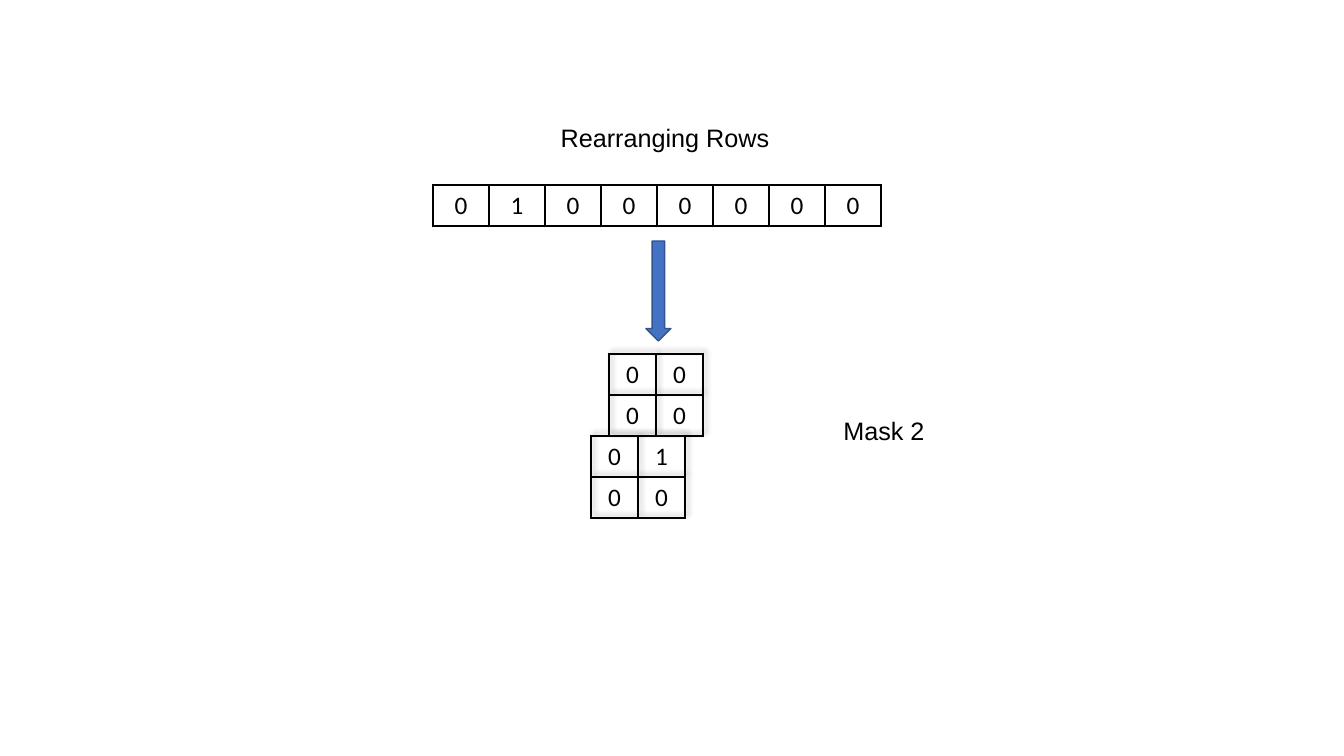
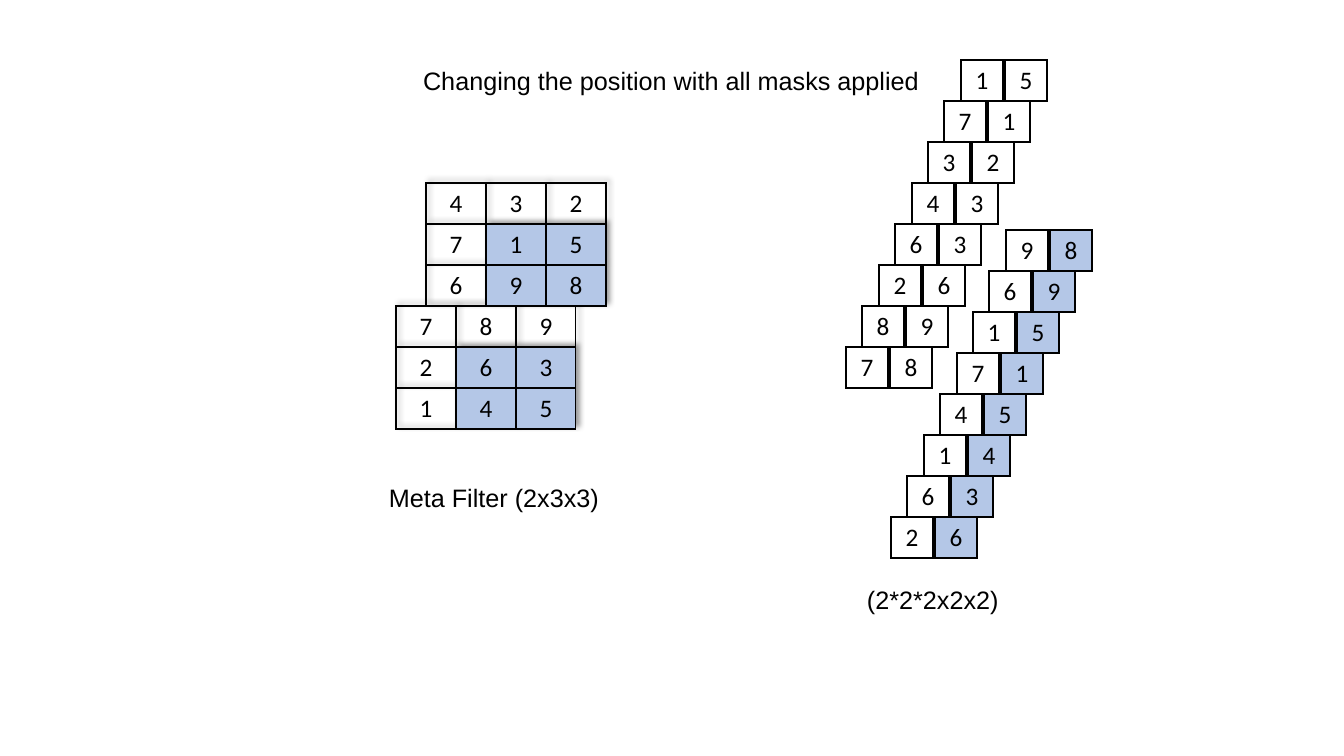
from dataclasses import dataclass

from lxml import etree
from pptx import Presentation, util as u
from pptx.dml.color import RGBColor
from pptx.enum import shapes, text
from pptx.oxml.ns import qn

EMU_PER_PIXEL = 914400 / 100.8
ROW = 41


@dataclass(frozen=True)
class Theme:
    """Colours, fonts and sizes shared by the slides."""
    ink: str = "000000"
    paper: str = "FFFFFF"
    highlight: str = "B4C7E7"
    arrow: str = "4472C4"
    arrow_edge: str = "325491"
    label_font: str = "Arial"
    cell_font: str = "Calibri"
    size: int = 18
    line: int = 1


def px(pixels):
    """Turn pixels into EMU."""
    return u.Emu(round(pixels * EMU_PER_PIXEL))


def write(frame, words, *, font, size, color, align=text.PP_ALIGN.CENTER):
    """Write one formatted paragraph into a text frame."""
    paragraph = frame.paragraphs[0]
    paragraph.alignment = align
    run = paragraph.add_run()
    run.text = words
    run.font.name = font
    run.font.size = u.Pt(size)
    run.font.bold = False
    run.font.color.rgb = RGBColor.from_string(color)


def add_color(parent, color):
    """Append a solid colour to an XML element and return the colour."""
    fill = etree.SubElement(parent, qn("a:solidFill"))
    return etree.SubElement(fill, qn("a:srgbClr"), val=color)


class Deck:
    """Holds the style and the current slide."""

    def __init__(self, theme):
        self.theme = theme
        self.presentation = Presentation()
        self.presentation.slide_width = px(1344)
        self.presentation.slide_height = px(756)
        self.slide = None

    def new_slide(self):
        """Start a blank slide."""
        self.slide = self.presentation.slides.add_slide(
            self.presentation.slide_layouts[6])

    def label(self, words, left, top, width, align=text.PP_ALIGN.CENTER):
        """Add a line of text."""
        shape = self.slide.shapes.add_textbox(px(left), px(top), px(width), px(40))
        frame = shape.text_frame
        frame.word_wrap = True
        frame.auto_size = text.MSO_AUTO_SIZE.SHAPE_TO_FIT_TEXT
        write(frame, words, font=self.theme.label_font, size=self.theme.size,
              color=self.theme.ink, align=align)

    def down_arrow(self, left, top, width, height):
        """Add a block arrow that points down."""
        shape = self.slide.shapes.add_shape(
            shapes.MSO_SHAPE.DOWN_ARROW, px(left), px(top), px(width), px(height))
        shape.shadow.inherit = False
        shape.fill.solid()
        shape.fill.fore_color.rgb = RGBColor.from_string(self.theme.arrow)
        shape.line.color.rgb = RGBColor.from_string(self.theme.arrow_edge)
        shape.line.width = u.Pt(self.theme.line)

    def matrix(self, rows, left, top, column, fill=None, marked=(), shadow=False):
        """Add a table of digits; marked holds (row, column) of tinted cells."""
        count = len(rows[0])
        table = self.slide.shapes.add_table(
            len(rows), count, px(left), px(top),
            px(column * count), px(ROW * len(rows))).table
        table.first_row = table.horz_banding = False
        if shadow:
            self.cast_shadow(table)
        for i, digits in enumerate(rows):
            for j, digit in enumerate(digits):
                tint = self.theme.highlight if (i, j) in marked else fill
                self.fill_cell(table.cell(i, j), digit, tint)

    def fill_cell(self, cell, digit, fill):
        """Give a cell its digit, borders and fill."""
        write(cell.text_frame, digit, font=self.theme.cell_font,
              size=self.theme.size, color=self.theme.ink)
        cell.vertical_anchor = text.MSO_ANCHOR.MIDDLE
        properties = cell._tc.get_or_add_tcPr()
        for side in ("lnL", "lnR", "lnT", "lnB"):
            border = etree.SubElement(properties, qn(f"a:{side}"),
                                      w=str(u.Pt(self.theme.line)))
            add_color(border, self.theme.ink)
        if fill:
            cell.fill.solid()
            cell.fill.fore_color.rgb = RGBColor.from_string(fill)
        else:
            cell.fill.background()

    def cast_shadow(self, table):
        """Add a soft shadow up and to the right of a table."""
        effects = etree.Element(qn("a:effectLst"))
        shadow = etree.SubElement(
            effects, qn("a:outerShdw"), blurRad=str(u.Pt(4)), dist=str(u.Pt(3)),
            dir="18900000", algn="bl", rotWithShape="0")
        color = etree.SubElement(shadow, qn("a:srgbClr"), val=self.theme.ink)
        etree.SubElement(color, qn("a:alpha"), val="40000")
        table._tbl.tblPr.insert(0, effects)

    def staircase(self, digits, left, bottom, fill):
        """Stack one-cell tables from the bottom up, each a step to the right."""
        for i, digit in enumerate(digits):
            self.matrix([digit], round(left + 16.4 * i), bottom - ROW * i, 42, fill)


def mask_slide(deck):
    """Show a row of eight rearranged into two squares."""
    deck.new_slide()
    deck.matrix(["01", "00"], 591, 436, 47, shadow=True)
    deck.matrix(["00", "00"], 609, 354, 47, shadow=True)
    deck.matrix(["01000000"], 433, 185, 56)
    deck.down_arrow(646, 241, 25, 100)
    deck.label("Mask 2", 609, 410, 550)
    deck.label("Rearranging Rows", 390, 117, 550)


def filter_slide(deck):
    """Show the filter and the stacks made by all masks."""
    deck.new_slide()
    corner = {(i, j) for i in (1, 2) for j in (1, 2)}
    deck.matrix(["789", "263", "145"], 396, 306, 60, marked=corner, shadow=True)
    deck.matrix(["432", "715", "698"], 426, 183, 60, marked=corner, shadow=True)
    deck.label("Meta Filter (2x3x3)", 379, 477, 273, text.PP_ALIGN.LEFT)
    paper, highlight = deck.theme.paper, deck.theme.highlight
    for digits, left, bottom, fill in (
            ("78264371", 846, 347, paper), ("89633215", 890, 347, paper),
            ("26147169", 891, 517, paper), ("63451598", 935, 517, highlight)):
        deck.staircase(digits, left, bottom, fill)
    deck.label("(2*2*2x2x2)", 857, 579, 273, text.PP_ALIGN.LEFT)
    deck.label("Changing the position with all masks applied", 396, 60, 550)


def main():
    """Build and save the slides."""
    deck = Deck(Theme())
    mask_slide(deck)
    filter_slide(deck)
    deck.presentation.save("out.pptx")


main()
